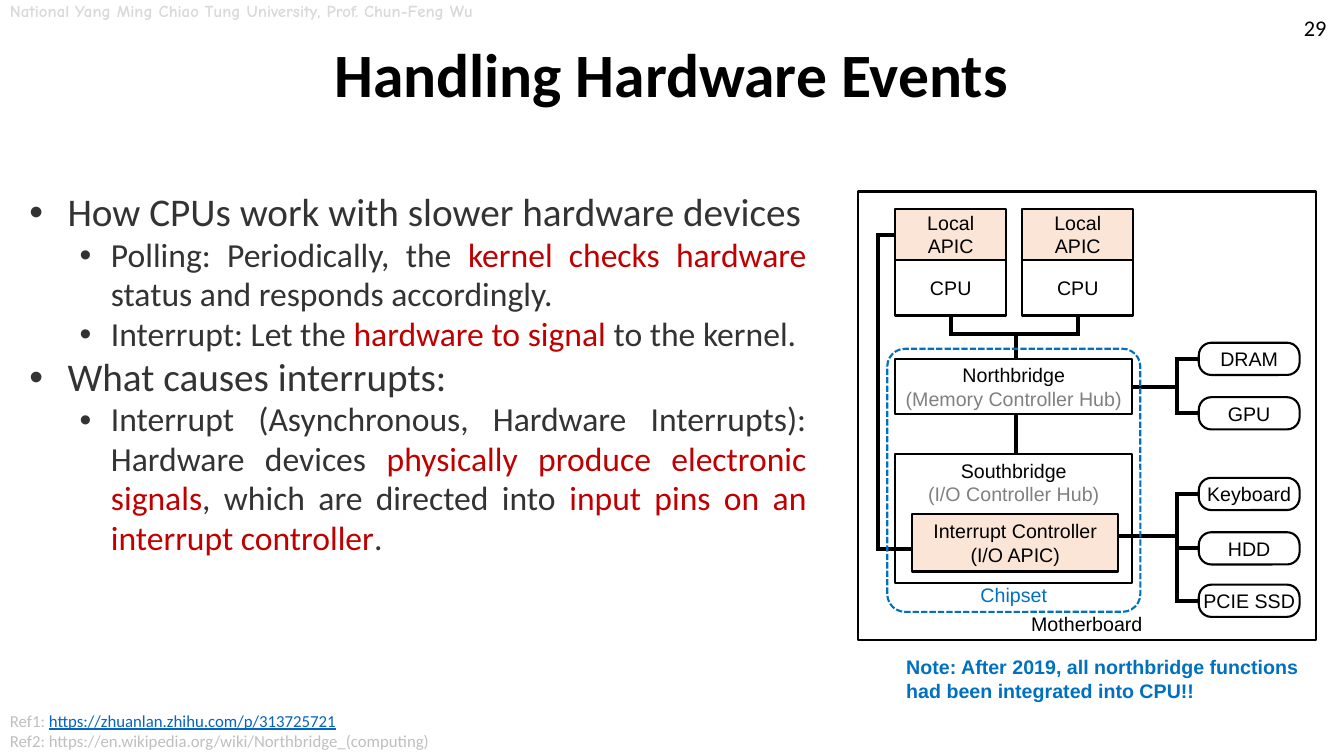
from dataclasses import dataclass
from typing import NamedTuple

from lxml.etree import SubElement
from pptx import Presentation
from pptx.dml.color import RGBColor
from pptx.enum.dml import MSO_LINE
from pptx.enum.shapes import MSO_CONNECTOR, MSO_SHAPE
from pptx.enum.text import MSO_ANCHOR, MSO_AUTO_SIZE, PP_ALIGN
from pptx.oxml.ns import qn
from pptx.util import Pt

PX = 9144  # 100 px to the inch


@dataclass(frozen=True)
class Theme:
    black: str = "000000"
    body: str = "333333"
    accent: str = "C00000"
    blue: str = "0070C0"
    link: str = "0563C1"
    muted: str = "808080"
    pale: str = "BFBFBF"
    header: str = "D9D9D9"
    peach: str = "FBE5D6"
    text_font: str = "Calibri"
    label_font: str = "Arial"
    header_font: str = "Comic Neue"
    title_size: int = 44
    level_sizes: tuple = (28, 24)
    number_size: int = 16
    label_size: int = 14
    small_size: int = 12
    outline: float = 1.5
    wire: int = 3


THEME = Theme()


class Box(NamedTuple):
    left: int
    top: int
    width: int
    height: int

    def inner(self, left, top, width, height):
        return Box(self.left + left, self.top + top, width, height)

    def emu(self):
        return [length * PX for length in self]


def add_span(para, text, color, size, font, bold=False, underline=False):
    span = para.add_run()
    span.text = text
    span.font.name, span.font.size = font, Pt(size)
    span.font.bold, span.font.underline = bold, underline
    span.font.color.rgb = RGBColor.from_string(color)


def add_text_lines(page, box, lines, size, font, bold=False):
    """Place an unwrapped text box; each line is a list of (text, color, underline)."""
    shape = page.shapes.add_textbox(*box.emu())
    frame = shape.text_frame
    frame.word_wrap = False
    frame.auto_size = MSO_AUTO_SIZE.SHAPE_TO_FIT_TEXT
    for index, line in enumerate(lines):
        para = frame.add_paragraph() if index else frame.paragraphs[0]
        for text, color, underline in line:
            add_span(para, text, color, size, font, bold, underline)
    return shape


def place_placeholder(shape, box, anchor):
    shape.left, shape.top, shape.width, shape.height = box.emu()
    frame = shape.text_frame
    frame.word_wrap = True
    frame.auto_size = MSO_AUTO_SIZE.NONE
    frame.vertical_anchor = anchor
    return frame


def fill_title(page, box):
    frame = place_placeholder(page.shapes.title, box, MSO_ANCHOR.MIDDLE)
    para = frame.paragraphs[0]
    para.alignment, para.line_spacing = PP_ALIGN.CENTER, 0.9
    add_span(para, "Handling Hardware Events", THEME.black, THEME.title_size,
             THEME.text_font, bold=True)


def set_bullet(para, margin, hanging):
    props = para._p.get_or_add_pPr()
    props.set("marL", str(margin * PX))
    props.set("indent", str(-hanging * PX))
    SubElement(props, qn("a:buFont")).set("typeface", THEME.label_font)
    SubElement(props, qn("a:buChar")).set("char", "•")


def fill_body(page, box):
    plain, accent = THEME.body, THEME.accent
    items = [
        (0, [("How CPUs work with slower hardware devices", plain)]),
        (1, [("Polling: Periodically, the ", plain),
             ("kernel checks hardware ", accent),
             ("status and responds accordingly.", plain)]),
        (1, [("Interrupt: Let the ", plain),
             ("hardware to signal", accent),
             (" to the kernel.", plain)]),
        (0, [("What causes interrupts:", plain)]),
        (1, [("Interrupt (Asynchronous, Hardware Interrupts): Hardware devices ", plain),
             ("physically produce electronic signals", accent),
             (", which are directed into ", plain),
             ("input pins on an interrupt controller", accent),
             (".", plain)]),
    ]
    frame = place_placeholder(page.placeholders[1], box, MSO_ANCHOR.TOP)
    for index, (level, spans) in enumerate(items):
        para = frame.add_paragraph() if index else frame.paragraphs[0]
        para.level = level
        para.alignment = PP_ALIGN.JUSTIFY
        para.line_spacing = 0.98
        para.space_before = para.space_after = Pt(0)
        set_bullet(para, *((38, 38), (81, 31))[level])
        for text, color in spans:
            add_span(para, text, color, THEME.level_sizes[level], THEME.text_font)


def add_block(page, box, lines, anchor=MSO_ANCHOR.MIDDLE, fill=None, radius=None,
              line_color=THEME.black, side=10, bottom=5):
    """Outlined block; each entry of lines is (text, color)."""
    kind = MSO_SHAPE.RECTANGLE if radius is None else MSO_SHAPE.ROUNDED_RECTANGLE
    shape = page.shapes.add_shape(kind, *box.emu())
    shape.shadow.inherit = False
    if radius is not None:
        shape.adjustments[0] = radius
    if fill:
        shape.fill.solid()
        shape.fill.fore_color.rgb = RGBColor.from_string(fill)
    else:
        shape.fill.background()
    shape.line.color.rgb = RGBColor.from_string(line_color)
    shape.line.width = Pt(THEME.outline)
    frame = shape.text_frame
    frame.word_wrap = True
    frame.vertical_anchor = anchor
    frame.margin_left = frame.margin_right = side * PX
    frame.margin_top, frame.margin_bottom = 5 * PX, bottom * PX
    para = frame.paragraphs[0]
    para.alignment = PP_ALIGN.CENTER
    for index, (text, color) in enumerate(lines):
        if index:
            para.add_line_break()
        add_span(para, text, color, THEME.label_size, THEME.label_font)
    return shape


def add_wire(page, box, x1, y1, x2, y2):
    ends = (box.left + x1, box.top + y1, box.left + x2, box.top + y2)
    wire = page.shapes.add_connector(MSO_CONNECTOR.STRAIGHT, *(end * PX for end in ends))
    wire.line.color.rgb = RGBColor.from_string(THEME.black)
    wire.line.width = Pt(THEME.wire)
    SubElement(wire._element.spPr, qn("a:effectLst"))


def add_device_bus(page, box, feed_x, feed_y, devices):
    """Wire a feed to a trunk with one rounded device per (name, top)."""
    trunk, pill_left, pill_height = 316, 338, 32
    taps = [top + pill_height // 2 for _, top in devices]
    add_wire(page, box, feed_x, feed_y, trunk, feed_y)
    add_wire(page, box, trunk, taps[0] - 2, trunk, taps[-1] + 2)
    for (name, top), tap in zip(devices, taps):
        add_wire(page, box, trunk, tap, pill_left, tap)
        add_block(page, box.inner(pill_left, top, 100, pill_height),
                  [(name, THEME.black)], radius=0.39, side=0)


def draw_motherboard(page, box):
    black, muted = THEME.black, THEME.muted
    add_block(page, box, [("Motherboard", black)], MSO_ANCHOR.BOTTOM)
    add_device_bus(page, box, 272, 194, [("DRAM", 150), ("GPU", 204)])
    add_device_bus(page, box, 259, 342,
                   [("Keyboard", 284), ("HDD", 338), ("PCIE SSD", 390)])
    for left in (37, 163):
        add_block(page, box.inner(left, 17, 110, 51), [("Local APIC", black)],
                  fill=THEME.peach)
        add_block(page, box.inner(left, 68, 110, 55), [("CPU", black)])
        add_wire(page, box, left + 55, 123, left + 55, 141)
    add_block(page, box.inner(54, 320, 204, 57),
              [("Interrupt Controller", black), ("(I/O APIC)", black)],
              MSO_ANCHOR.TOP, THEME.peach)
    add_block(page, box.inner(37, 260, 235, 128),
              [("Southbridge", black), ("(I/O Controller Hub)", muted)], MSO_ANCHOR.TOP)
    add_block(page, box.inner(37, 166, 235, 55),
              [("Northbridge", black), ("(Memory Controller Hub)", muted)])
    for ends in ((20, 41, 20, 357), (20, 43, 37, 43), (20, 355, 54, 355),
                 (90, 141, 220, 141), (157, 141, 157, 166), (157, 221, 157, 260)):
        add_wire(page, box, *ends)
    chipset = add_block(page, box.inner(29, 156, 251, 261), [("Chipset", THEME.blue)],
                        MSO_ANCHOR.BOTTOM, radius=0.07, line_color=THEME.blue, bottom=0)
    chipset.line.dash_style = MSO_LINE.SQUARE_DOT


def add_margins(page, box):
    """Course header, page number and references around the slide edge."""
    add_text_lines(page, box.inner(0, -4, 519, 30),
                   [[("National Yang Ming Chiao Tung University, Prof. Chun-Feng Wu",
                      THEME.header, False)]],
                   THEME.small_size, THEME.header_font, bold=True)
    number = add_text_lines(page, box.inner(1276, 1, 57, 53),
                            [[("29", THEME.black, False)]],
                            THEME.number_size, THEME.text_font)
    number.text_frame.auto_size = MSO_AUTO_SIZE.NONE
    number.text_frame.word_wrap = True
    number.text_frame.vertical_anchor = MSO_ANCHOR.MIDDLE
    number.text_frame.paragraphs[0].alignment = PP_ALIGN.CENTER
    add_text_lines(page, box.inner(0, 700, 440, 50), [
        [("Ref1: ", THEME.pale, False),
         ("https://zhuanlan.zhihu.com/p/313725721", THEME.link, True)],
        [("Ref2: https://en.wikipedia.org/wiki/Northbridge_(computing)", THEME.pale, False)],
    ], THEME.small_size, THEME.text_font)


def main():
    deck = Presentation()
    slide_box = Box(0, 0, 1333, 750)
    deck.slide_width, deck.slide_height = slide_box.emu()[2:]
    page = deck.slides.add_slide(deck.slide_layouts[1])
    fill_title(page, Box(19, 19, 1294, 116))
    fill_body(page, Box(19, 183, 791, 547))
    draw_motherboard(page, Box(851, 190, 454, 445))
    add_text_lines(page, Box(889, 645, 416, 57),
                   [[("Note: After 2019, all northbridge functions", THEME.blue, False)],
                    [("had been integrated into CPU!!", THEME.blue, False)]],
                   THEME.label_size, THEME.label_font, bold=True)
    add_margins(page, slide_box)
    deck.save("out.pptx")


if __name__ == "__main__":
    main()
